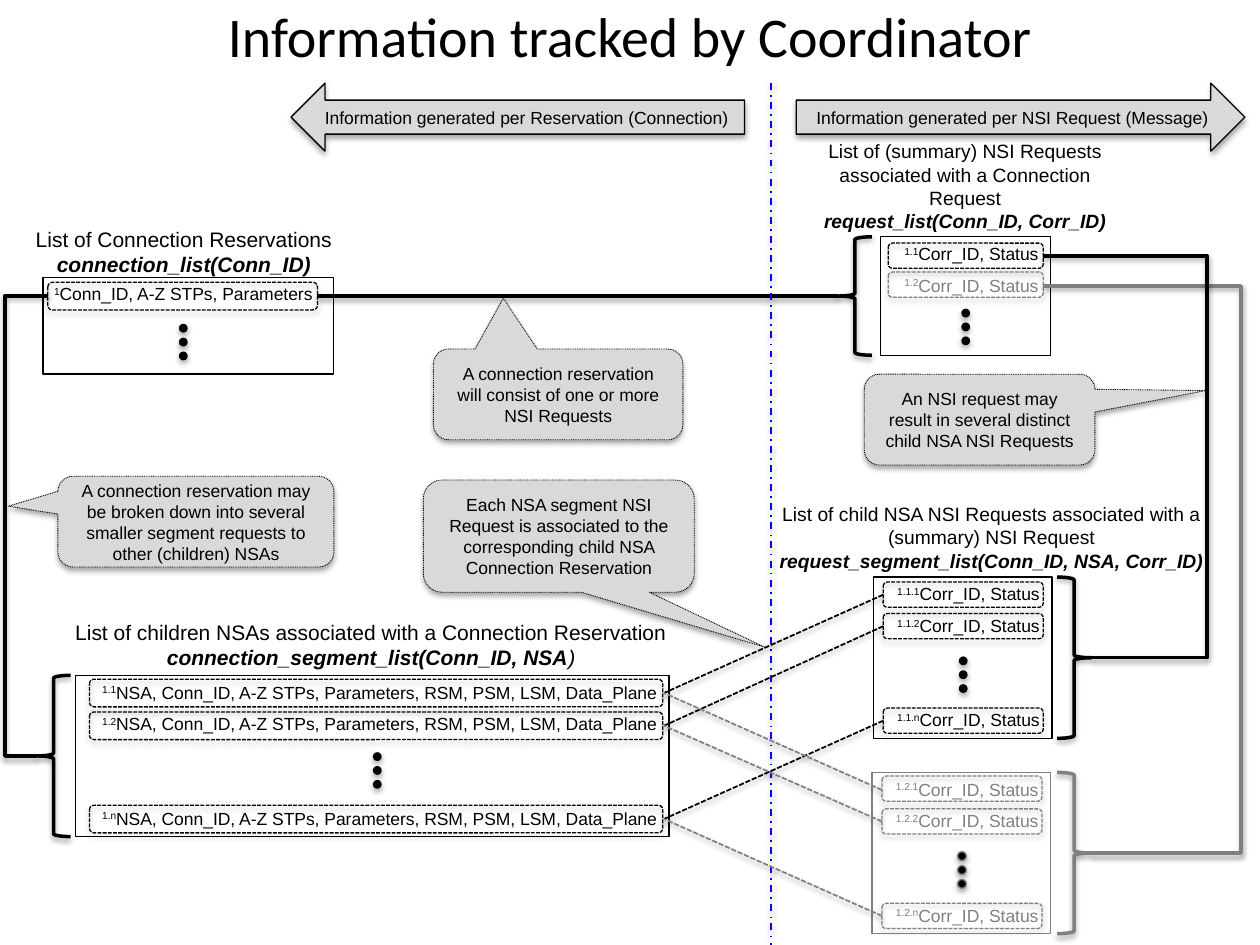
from lxml import etree
from pptx import Presentation
from pptx.dml.color import RGBColor
from pptx.enum.dml import MSO_LINE as Dash
from pptx.enum.shapes import MSO_CONNECTOR as Link, MSO_SHAPE as Kind
from pptx.enum.text import MSO_ANCHOR as Anchor, PP_ALIGN as Align
from pptx.oxml.ns import qn
from pptx.util import Inches, Pt

BLACK = RGBColor(0, 0, 0)
GREY = RGBColor(0x80, 0x80, 0x80)
PALE = RGBColor(0xD9, 0xD9, 0xD9)
BLUE = RGBColor(0, 0, 255)

prs = Presentation()
prs.slide_width, prs.slide_height = Inches(10), Inches(7.5)
slide = prs.slides.add_slide(prs.slide_layouts[6])
shapes = slide.shapes


def draw(kind, x, y, w, h, line=BLACK, width=0.75, fill=None, dash=None):
    shape = shapes.add_shape(kind, Inches(x), Inches(y), Inches(w), Inches(h))
    if fill is None:
        shape.fill.background()
    else:
        shape.fill.solid()
        shape.fill.fore_color.rgb = fill
    if line is None:
        shape.line.fill.background()
    else:
        shape.line.color.rgb = line
        shape.line.width = Pt(width)
        if dash:
            shape.line.dash_style = dash
    return shape


def style(para, size, align=Align.CENTER, color=BLACK, face="Arial"):
    para.alignment = align
    para.font.size = Pt(size)
    para.font.name = face
    para.font.color.rgb = color


conn = "Conn_ID, A-Z STPs, Parameters"
seg = conn.replace("Conn", "NSA, Conn") + ", RSM, PSM, LSM, Data_Plane"
seg = "NSA, Conn_ID, A-Z STPs, Parameters, RSM, PSM, LSM, Data_Plane"
corr = "Corr_ID, Status"
lists = [
    ((0.34, 2.2, 2.31, 0.77), BLACK, conn, (0.38, 2.14, 0.22), (1.42, 2.57),
     [("1", 2.24, BLACK)]),
    ((6.99, 1.88, 1.35, 0.94), BLACK, corr, (7.05, 1.23, 0.2), (7.63, 2.45),
     [("1.1", 1.93, BLACK), ("1.2", 2.16, GREY)]),
    ((0.6, 5.36, 4.71, 1.28), BLACK, seg, (0.71, 4.55, 0.22), (2.96, 5.97),
     [("1.1", 5.39, BLACK), ("1.2", 5.65, BLACK), ("1.n", 6.39, BLACK)]),
    ((6.93, 4.58, 1.42, 1.28), BLACK, corr, (7.01, 1.27, 0.2), (7.61, 5.21),
     [("1.1.1", 4.62, BLACK), ("1.1.2", 4.87, BLACK), ("1.1.n", 5.62, BLACK)]),
    ((6.92, 6.13, 1.42, 1.28), GREY, corr, (7, 1.27, 0.2), (7.6, 6.76),
     [("1.2.1", 6.16, GREY), ("1.2.2", 6.42, GREY), ("1.2.n", 7.17, GREY)]),
]
for area, tone, label, (left, wide, high), (dotx, doty), rows in lists:
    box = draw(Kind.RECTANGLE, *area, line=tone)
    box.shadow.inherit = False
    frame = box.text_frame
    frame.word_wrap = True
    frame.vertical_anchor = Anchor.TOP
    if label == conn:
        frame.margin_left, frame.margin_right = 0, Inches(0.17)
    for i, (mark, top, color) in enumerate(rows):
        para = frame.add_paragraph() if i else frame.paragraphs[0]
        style(para, 10, Align.RIGHT, color)
        if i:
            para.space_before = Pt((6, 42)[i - 1])
        run = para.add_run()
        run.text = mark
        run.font._element.set("baseline", "30000")
        para.add_run().text = label
        draw(Kind.ROUNDED_RECTANGLE, left, top, wide, high, color,
             dash=Dash.SQUARE_DOT)
    for i in range(3):
        draw(Kind.OVAL, dotx, doty + i * 0.11, 0.07, 0.07,
             GREY if tone == GREY else None, fill=BLACK)

for x, y, h, color, turn in [
    (0.29, 5.36, 1.28, BLACK, 0), (6.65, 1.88, 0.94, BLACK, 0),
    (8.39, 4.58, 1.28, BLACK, 180), (8.39, 6.13, 1.28, GREY, 180),
]:
    draw(Kind.LEFT_BRACE, x, y, 0.27, h, color, 2).rotation = turn

links = [
    (0.38, 2.35, 0.29, 6, BLACK, 2, None, 0.04),
    (8.28, 2.27, 8.66, 6.77, GREY, 2, None, 9.85),
    (8.28, 2.03, 8.66, 5.22, BLACK, 2, None, 9.58),
    (2.52, 2.35, 6.65, 2.35, BLACK, 2, None, None),
    (6.12, 0.66, 6.12, 7.5, BLUE, 1, Dash.DASH_DOT, None),
]
for x, color, tops in [(7.01, BLACK, (4.72, 4.97, 5.72)),
                       (7, GREY, (6.27, 6.52, 7.27))]:
    for top, end in zip(tops, (5.5, 5.76, 6.5)):
        links.append((x, top, 5.27, end, color, 1, Dash.SQUARE_DOT, None))
for x1, y1, x2, y2, color, width, dash, bend in links:
    link = shapes.add_connector(Link.ELBOW if bend else Link.STRAIGHT,
                                Inches(x1), Inches(y1), Inches(x2), Inches(y2))
    link.line.color.rgb = color
    link.line.width = Pt(width)
    if dash:
        link.line.dash_style = dash
    if bend:
        geom = link._element.spPr.find(qn("a:prstGeom"))
        guides = geom.find(qn("a:avLst"))
        if guides is None:
            guides = etree.SubElement(geom, qn("a:avLst"))
        ratio = round((bend - x1) / (x2 - x1) * 100000)
        etree.SubElement(guides, qn("a:gd"), name="adj1", fmla=f"val {ratio}")

call = Kind.ROUNDED_RECTANGULAR_CALLOUT
notes = [
    (Kind.LEFT_ARROW, (2.31, 0.66, 3.6, 0.54), None,
     "Information generated per Reservation (Connection)"),
    (Kind.RIGHT_ARROW, (6.32, 0.66, 3.56, 0.54), None,
     "Information generated per NSI Request (Message)"),
    (call, (0.46, 3.78, 2.19, 0.72), (-0.68, -0.17),
     "A connection reservation may be broken down into several smaller "
     "segment requests to other (children) NSAs"),
    (call, (3.44, 2.77, 1.98, 0.72), (-0.22, -1.06),
     "A connection reservation will consist of one or more NSI Requests"),
    (call, (6.86, 2.97, 1.83, 0.72), (0.98, -0.32),
     "An NSI request may result in several distinct child NSA NSI Requests"),
    (call, (3.36, 3.81, 2.15, 0.89), (0.76, 0.99),
     "Each NSA segment NSI Request is associated to the corresponding "
     "child NSA Connection Reservation"),
]
for kind, area, tip, words in notes:
    note = draw(kind, *area, width=0.5 if tip else 0.75, fill=PALE,
                dash=Dash.ROUND_DOT if tip else None)
    if tip:
        note.adjustments[0], note.adjustments[1] = tip
    frame = note.text_frame
    frame.word_wrap = True
    frame.vertical_anchor = Anchor.MIDDLE
    frame.text = words
    style(frame.paragraphs[0], 10)

heads = [
    ((0.17, 1.75, 2.58, 0.5), 12, "List of Connection Reservations",
     "connection_list(Conn_ID)", ""),
    ((0.42, 4.87, 5.05, 0.5), 12,
     "List of children NSAs associated with a Connection Reservation",
     "connection_segment_list(Conn_ID, NSA", ")"),
    ((6.34, 1.06, 2.64, 0.84), 11,
     "List of (summary) NSI Requests associated with a Connection Request",
     "request_list(Conn_ID, Corr_ID)", ""),
    ((6.04, 3.94, 3.66, 0.66), 11,
     "List of child NSA NSI Requests associated with a (summary) NSI Request",
     "request_segment_list(Conn_ID, NSA, Corr_ID)", ""),
]
for area, size, words, name, tail in heads:
    frame = shapes.add_textbox(*map(Inches, area)).text_frame
    frame.word_wrap = True
    frame.text = words
    style(frame.paragraphs[0], size)
    para = frame.add_paragraph()
    style(para, size)
    para.font.italic = True
    run = para.add_run()
    run.text = name
    run.font.bold = True
    if tail:
        para.add_run().text = tail

frame = shapes.add_textbox(0, Inches(-0.03), Inches(10), Inches(0.62)).text_frame
frame.word_wrap = True
frame.vertical_anchor = Anchor.MIDDLE
frame.text = "Information tracked by Coordinator"
style(frame.paragraphs[0], 32, face="Calibri")

prs.save("out.pptx")
